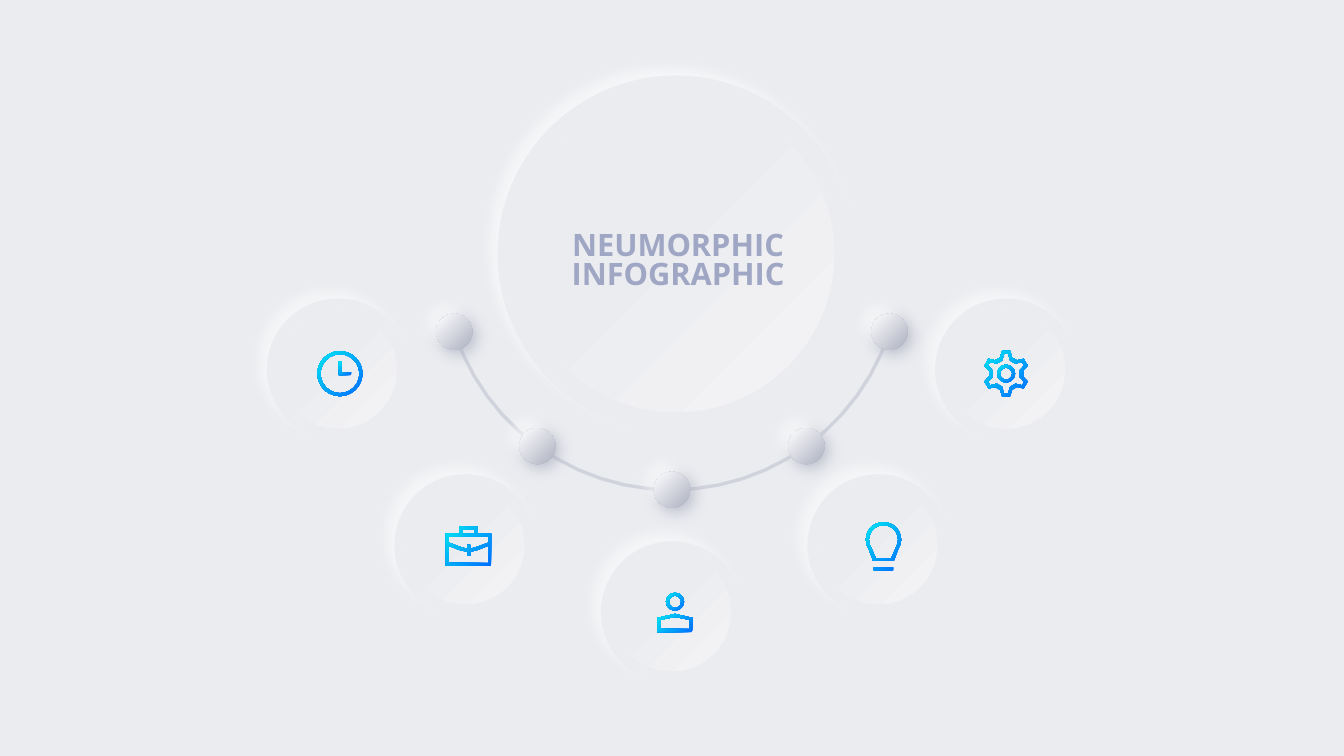
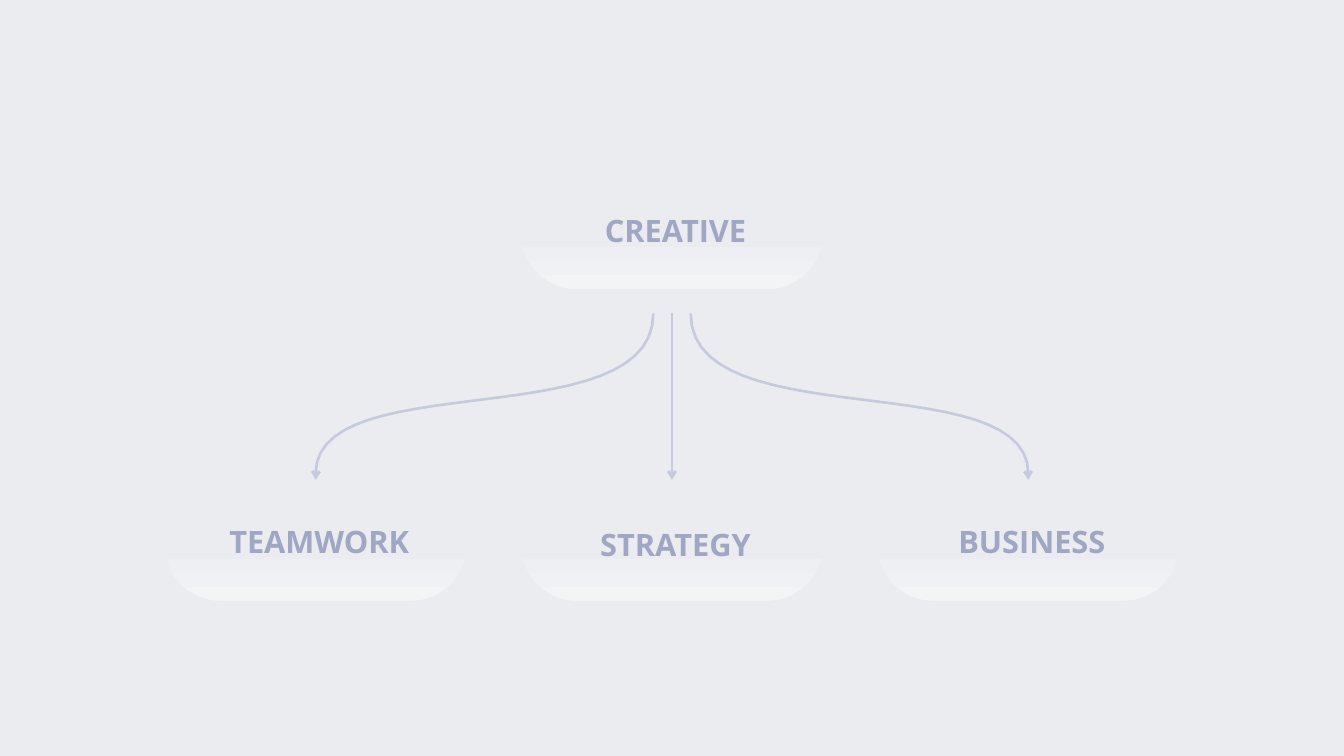
from dataclasses import dataclass
from math import cos, radians, sin

from pptx import Presentation
from pptx.dml.color import RGBColor as RGB
from pptx.enum.shapes import MSO_CONNECTOR as CXN, MSO_SHAPE as SHP
from pptx.enum.text import MSO_ANCHOR as ANCHOR, MSO_AUTO_SIZE as FIT, PP_ALIGN as ALIGN
from pptx.oxml import parse_xml
from pptx.oxml.ns import nsdecls, qn
from pptx.util import Emu, Pt

CELL = 91440
COLS, ROWS = 133.33, 75
MID = COLS / 2


@dataclass(frozen=True)
class Theme:
    """Colours, type and effects shared by the slides."""
    ground: str = "EBECF0"
    ink: str = "9FA7C4"
    arc: str = "D0D2DC"
    arrow: str = "C5CADC"
    font: str = "Open Sans"
    size: float = 22
    pitch: float = 21
    arc_pt: float = 2.38
    arrow_pt: float = 1.88
    disc: tuple = ((39, "EBECF0"), (100, "F4F4F6"))
    knob: tuple = ((0, "FFFFFF"), (100, "ACB0C0"))
    icon: tuple = ((0, "006EFF"), (100, "00E6F2"))
    pill: tuple = ((0, "F3F4F6"), (51, "EBECF0"), (100, "EBECF0"))
    glow: tuple = ("FFFFFF", 56, 9, 9, 225)
    shade: tuple = ("ACB0C0", 73, 11, 4, 45)


T = Theme()


def cells(*ns):
    """Turn grid cells into slide lengths."""
    return [Emu(round(n * CELL)) for n in ns]


def plain(sp):
    """Strip the line and shadow of a new shape."""
    sp.line.fill.background()
    sp.shadow.inherit = False
    return sp


def gradient(sp, stops, angle=None):
    """Fill with a linear gradient, or from the top left corner if no angle is given."""
    gs = "".join(f'<a:gs pos="{pos * 1000}"><a:srgbClr val="{c}"/></a:gs>' for pos, c in stops)
    if angle is None:
        way = '<a:path path="circle"><a:fillToRect r="100000" b="100000"/></a:path>'
    else:
        way = f'<a:lin ang="{angle * 60000}" scaled="0"/>'
    sp.fill.gradient()
    spPr = sp.element.spPr
    spPr.replace(spPr.find(qn("a:gradFill")), parse_xml(
        f'<a:gradFill {nsdecls("a")} rotWithShape="1"><a:gsLst>{gs}</a:gsLst>{way}</a:gradFill>'))


def shadow(sp, color, alpha, blur, dist, angle):
    """Add an outer shadow."""
    sp.element.spPr.find(qn("a:effectLst")).append(parse_xml(
        f'<a:outerShdw {nsdecls("a")} blurRad="{blur * 12700}" dist="{dist * 12700}" '
        f'dir="{angle * 60000}" algn="ctr" rotWithShape="0"><a:srgbClr val="{color}">'
        f'<a:alpha val="{alpha * 1000}"/></a:srgbClr></a:outerShdw>'))


def stroke(sp, color, pt, arrow=False):
    """Colour a line and end it with an arrowhead on request."""
    sp.line.color.rgb = RGB.from_string(color)
    sp.line.width = Pt(pt)
    if arrow:
        sp.element.spPr.find(qn("a:ln")).append(
            parse_xml(f'<a:tailEnd {nsdecls("a")} type="arrow" w="med" len="med"/>'))


def polar(cx, cy, r, deg):
    """Point on a circle."""
    return cx + r * cos(radians(deg)), cy + r * sin(radians(deg))


def sweep(cx, cy, r, start, end, n):
    """Points along an arc."""
    return [polar(cx, cy, r, start + (end - start) * i / n) for i in range(n + 1)]


def bezier(a, b, c, d, n):
    """Points along a cubic curve."""
    return [tuple((1 - t) ** 3 * p + 3 * t * (1 - t) ** 2 * q + 3 * t * t * (1 - t) * u + t ** 3 * v
                  for p, q, u, v in zip(a, b, c, d))
            for t in (i / n for i in range(n + 1))]


def mirror(half):
    """Close a right half with its reflection."""
    return half + [(-x, y) for x, y in reversed(half) if x]


def outline(s, contours, cx=0, cy=0, close=True):
    """Draw contours as one freeform around a centre."""
    fb = None
    for contour in contours:
        first, *rest = [tuple(cells(cx + x, cy + y)) for x, y in contour]
        if fb is None:
            fb = s.shapes.build_freeform(*first, scale=1.0)
        else:
            fb.move_to(*first)
        fb.add_line_segments(rest, close=close)
    sp = plain(fb.convert_to_shape())
    if not close:
        sp.fill.background()
    return sp


def ellipse(grp, cx, cy, d, kind=SHP.OVAL):
    """Centred round shape."""
    return plain(grp.shapes.add_shape(kind, *cells(cx - d / 2, cy - d / 2, d, d)))


def base(grp, cx, cy, d, effect):
    """Circle in the ground colour with a shadow."""
    sp = ellipse(grp, cx, cy, d)
    sp.fill.solid()
    sp.fill.fore_color.rgb = RGB.from_string(T.ground)
    shadow(sp, *effect)


def disc(s, cx, cy, d, core):
    """Raised disc with a lighter core."""
    base(s, cx, cy, d, T.glow)
    gradient(ellipse(s, cx, cy, core), T.disc)


def knob(s, cx, cy, d):
    """Small ball with light and shade."""
    base(s, cx, cy, d, T.shade)
    ball = ellipse(s, cx, cy, d)
    gradient(ball, T.knob)
    shadow(ball, *T.glow)


def label(sp, box, lines, pitch=None):
    """Place a centred label and write its lines."""
    sp.left, sp.top, sp.width, sp.height = cells(*box)
    tf = sp.text_frame
    tf.margin_left = tf.margin_right = tf.margin_top = tf.margin_bottom = 0
    tf.word_wrap, tf.auto_size, tf.vertical_anchor = True, FIT.NONE, ANCHOR.TOP
    for i, line in enumerate(lines):
        p = tf.add_paragraph() if i else tf.paragraphs[0]
        p.alignment = ALIGN.CENTER
        if pitch:
            p.line_spacing = Pt(pitch)
        r = p.add_run()
        r.text = line
        r.font.name, r.font.size, r.font.bold = T.font, Pt(T.size), True
        r.font.color.rgb = RGB.from_string(T.ink)


def title(s, box, lines, pitch=None):
    """Use the title placeholder, brought to the front."""
    sp = s.shapes.title
    sp.element.getparent().append(sp.element)
    label(sp, box, lines, pitch)


def clock():
    """Clock hands and rim."""
    return [[(1.1, .15), (-.1, .15), (-.1, -1.25), (.2, -1.25), (.2, -.15), (1.1, -.15)]], (0, 2.23)


def briefcase():
    """Briefcase contours."""
    return [mirror(half) for half in (
        [(.9, -1.95), (.9, -1.25), (2.25, -1.25), (2.25, 1.95)],
        [(.6, -1.65), (.6, -1.25)],
        [(1.95, -.95), (1.95, -.35), (.85, .05), (.15, .25), (.15, -.15)],
        [(.15, .95), (.15, .55), (.95, .35), (1.95, -.05), (1.95, 1.65)])], None


def person():
    """Shoulders and head."""
    return [mirror([(0, .15), (1.75, .55), (1.75, 1.95)]),
            mirror([(0, .45), (1.45, .75), (1.45, 1.65)])], (-1.05, .9)


def bulb():
    """Light bulb contours."""
    def glass(r, waist, foot):
        return mirror(sweep(0, -.65, r, -90, 15, 7) + [waist, foot])
    return [mirror([(.95, 2.1), (.95, 2.4)]),
            glass(1.75, (1.45, .3), (1.05, 1.4)), glass(1.45, (1.2, .2), (.75, 1.2))], None


def gear():
    """One tooth turned six times, and the hub."""
    def teeth(tip, tip_y, foot, foot_y):
        tooth = [(-foot, foot_y), (-tip, tip_y), (tip, tip_y), (foot, foot_y)]
        turns = [(cos(radians(a)), sin(radians(a))) for a in range(0, 360, 60)]
        return [(x * c - y * n, x * n + y * c) for c, n in turns for x, y in tooth]
    return [teeth(.4, -2.25, .6, -1.6), teeth(.2, -1.95, .4, -1.3)], (0, .9)


def icon(s, cx, cy, contours, ring, width=.3):
    """Draw an icon from its contours and ring."""
    gradient(outline(s, contours, cx, cy), T.icon, 225)
    if ring:
        dy, r = ring
        sp = ellipse(s, cx, cy + dy, 2 * r, SHP.DONUT)
        sp.adjustments[0] = width / (2 * r)
        gradient(sp, T.icon, 225)


def wheel_slide(s, cx=MID, cy=25.9):
    """Title disc with five icons fanned out below it."""
    ring, reach = 22.7, 34.85
    icons = ((gear, 0, .4), (bulb, .5, .1), (person, .3, 0), (briefcase, .3, .1), (clock, .2, .4))
    angles = [18 + 36 * i for i in range(len(icons))]
    arc = outline(s, [sweep(cx, cy, ring, angles[0], angles[-1], 24)], close=False)
    stroke(arc, T.arc, T.arc_pt)
    disc(s, cx + .4, cy - .7, 35.4, 31.4)
    spots = [polar(cx, cy, reach, a) for a in angles]
    for spot in spots:
        disc(s, *spot, 14.1, 11.7)
    for a in angles:
        knob(s, *polar(cx, cy, ring, a), 3.6)
    title(s, (cx - 13.4, cy - 2.8, 28, 6), ("NEUMORPHIC", "INFOGRAPHIC"), T.pitch)
    for (draw, dx, dy), (x, y) in zip(icons, spots):
        icon(s, x + dx, y + dy, *draw())


def pill(s, cx, top, w=29.8, h=10.9):
    """Rounded plate."""
    sp = plain(s.shapes.add_shape(SHP.ROUNDED_RECTANGLE, *cells(cx - w / 2, top, w, h)))
    sp.adjustments[0] = .5
    gradient(sp, T.pill, 270)


def branch(s, x0, x1, top, bottom):
    """Arrow from the root down to a leaf."""
    if x0 == x1:
        sp = s.shapes.add_connector(CXN.STRAIGHT, *cells(x0, top, x1, bottom))
        stroke(sp, T.arrow, T.arrow_pt, arrow=True)
        sp.element.spPr.append(parse_xml(f'<a:effectLst {nsdecls("a")}/>'))
    else:
        bend = bezier((x0, top), (x0, top + 12.4), (x1, bottom - 11.5), (x1, bottom - .6), 28)
        sp = outline(s, [bend + [(x1, bottom)]], close=False)
        stroke(sp, T.arrow, T.arrow_pt, arrow=True)


def tree_slide(s, cx=MID, root=17.8, leaf=48.7):
    """Root plate with three leaves."""
    step, gap = 35.35, 1.85
    leaves = ((-1, "TEAMWORK", 3.2), (0, "STRATEGY", 3.5), (1, "BUSINESS", 3.2))

    def box(x, y):
        return x - 11.65, y, 24, 3.7

    pill(s, cx, root)
    title(s, box(cx, root + 3.2), ("CREATIVE",))
    for side, text, drop in leaves:
        x = cx + side * step
        pill(s, x, leaf)
        branch(s, cx + side * gap, x, root + 13.3, leaf - 1.1)
        b = box(x, leaf + drop)
        label(s.shapes.add_textbox(*cells(*b)), b, (text,))


def main():
    """Build and save the slides."""
    prs = Presentation()
    prs.slide_width, prs.slide_height = cells(COLS, ROWS)
    fill = prs.slide_master.background.fill
    fill.solid()
    fill.fore_color.rgb = RGB.from_string(T.ground)
    for build in (wheel_slide, tree_slide):
        build(prs.slides.add_slide(prs.slide_layouts[5]))
    prs.save("out.pptx")


if __name__ == "__main__":
    main()
